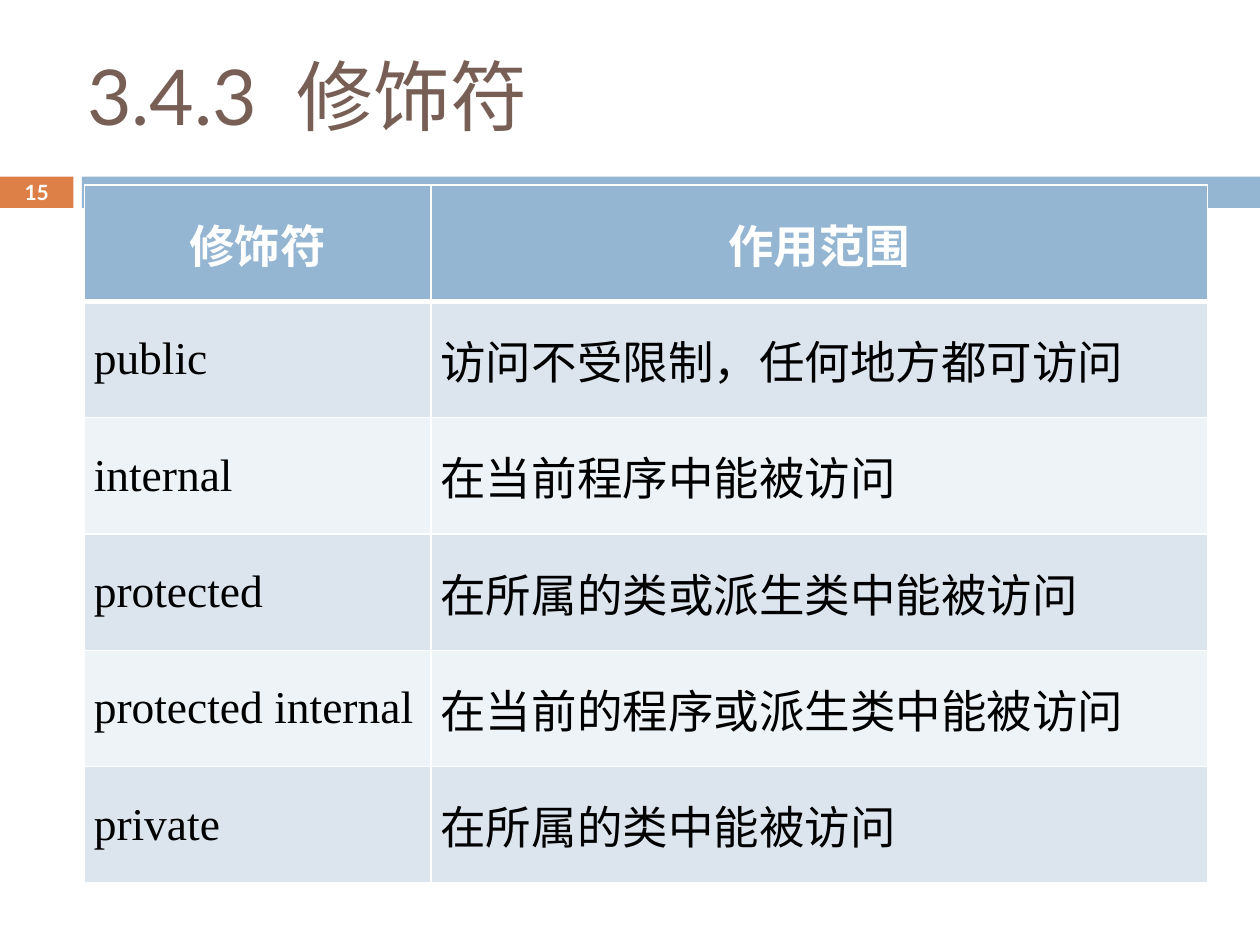
import pptx
import pptx.util
import pptx.dml.color
import pptx.enum.shapes
import pptx.enum.text
import pptx.oxml.ns
import lxml.etree

Cm = pptx.util.Cm
ALIGN = pptx.enum.text.PP_ALIGN
MIDDLE = pptx.enum.text.MSO_ANCHOR.MIDDLE
COLORS = {
    "orange": "DD8047",
    "blue": "94B6D2",
    "brown": "775F55",
    "white": "FFFFFF",
    "black": "000000",
    "dark_band": "DCE5EE",
    "light_band": "EEF3F7",
}
ROWS = [
    ("修饰符", "作用范围"),
    ("public", "访问不受限制，任何地方都可访问"),
    ("internal", "在当前程序中能被访问"),
    ("protected", "在所属的类或派生类中能被访问"),
    ("protected internal", "在当前的程序或派生类中能被访问"),
    ("private", "在所属的类中能被访问"),
]


def write(text_frame, text, size, font, color, alignment, bold=False):
    paragraph = text_frame.paragraphs[0]
    paragraph.alignment = alignment
    run = paragraph.add_run()
    run.text = text
    run.font.size = pptx.util.Pt(size)
    run.font.name = font
    run.font.bold = bold
    run.font.color.rgb = pptx.dml.color.RGBColor.from_string(COLORS[color])


def add_border(cell, side, width):
    properties = cell._tc.get_or_add_tcPr()
    line = lxml.etree.SubElement(properties, pptx.oxml.ns.qn("a:" + side), w=str(pptx.util.Pt(width)))
    fill = lxml.etree.SubElement(line, pptx.oxml.ns.qn("a:solidFill"))
    lxml.etree.SubElement(fill, pptx.oxml.ns.qn("a:srgbClr"), val=COLORS["white"])


presentation = pptx.Presentation()
presentation.slide_width = Cm(25.4)
presentation.slide_height = Cm(19.05)
slide = presentation.slides.add_slide(presentation.slide_layouts[5])

bars = []
for left, width, color in [(0, 1.48, "orange"), (1.65, 23.75, "blue")]:
    bar = slide.shapes.add_shape(
        pptx.enum.shapes.MSO_SHAPE.RECTANGLE, Cm(left), Cm(3.56), Cm(width), Cm(0.63))
    bar.shadow.inherit = False
    bar.fill.solid()
    bar.fill.fore_color.rgb = pptx.dml.color.RGBColor.from_string(COLORS[color])
    bar.line.fill.background()
    bars.append(bar)

title = slide.shapes.title
title.left, title.top, title.width, title.height = Cm(1.5), Cm(0.53), Cm(22.66), Cm(2.74)
title.text_frame.vertical_anchor = MIDDLE
write(title.text_frame, "3.4.3  修饰符", 44, "Lato", "brown", ALIGN.JUSTIFY)

number_frame = bars[0].text_frame
number_frame.margin_left = number_frame.margin_right = 0
number_frame.margin_top = number_frame.margin_bottom = 0
number_frame.vertical_anchor = MIDDLE
write(number_frame, "15", 12, "Lato", "white", ALIGN.CENTER, True)

table = slide.shapes.add_table(len(ROWS), 2, Cm(1.7), Cm(3.73), Cm(22.64), Cm(14.07)).table
table.columns[0].width = Cm(6.99)
table.columns[1].width = Cm(15.65)
for row_index, texts in enumerate(ROWS):
    header = row_index == 0
    band = "blue" if header else "dark_band" if row_index % 2 else "light_band"
    for column_index, text in enumerate(texts):
        cell = table.cell(row_index, column_index)
        cell.margin_left = cell.margin_right = Cm(0.19)
        cell.margin_top = cell.margin_bottom = 0
        cell.vertical_anchor = MIDDLE
        for side in ("lnL", "lnR", "lnT", "lnB"):
            thick = (header and side == "lnB") or (row_index == 1 and side == "lnT")
            add_border(cell, side, 3 if thick else 1)
        cell.fill.solid()
        cell.fill.fore_color.rgb = pptx.dml.color.RGBColor.from_string(COLORS[band])
        write(cell.text_frame, text, 26, "Times New Roman",
              "white" if header else "black",
              ALIGN.CENTER if header else ALIGN.JUSTIFY, header)

presentation.save("out.pptx")
